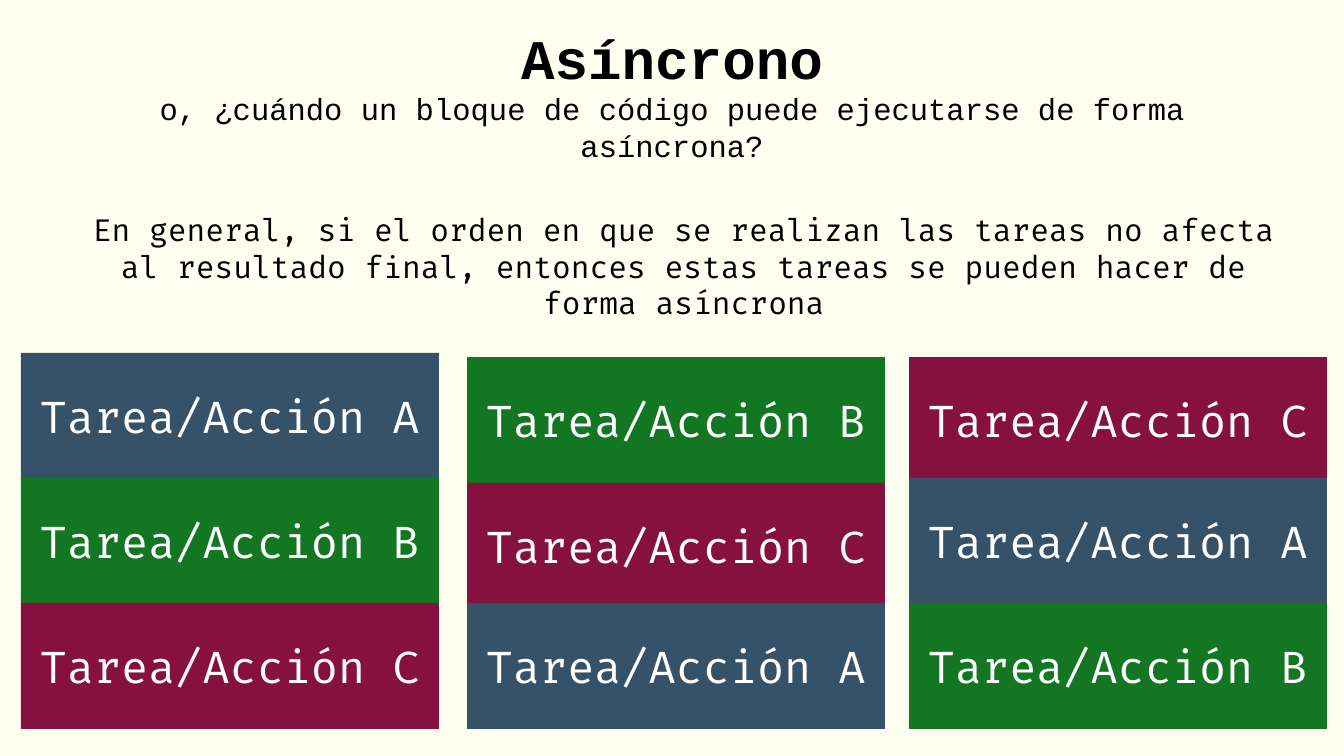
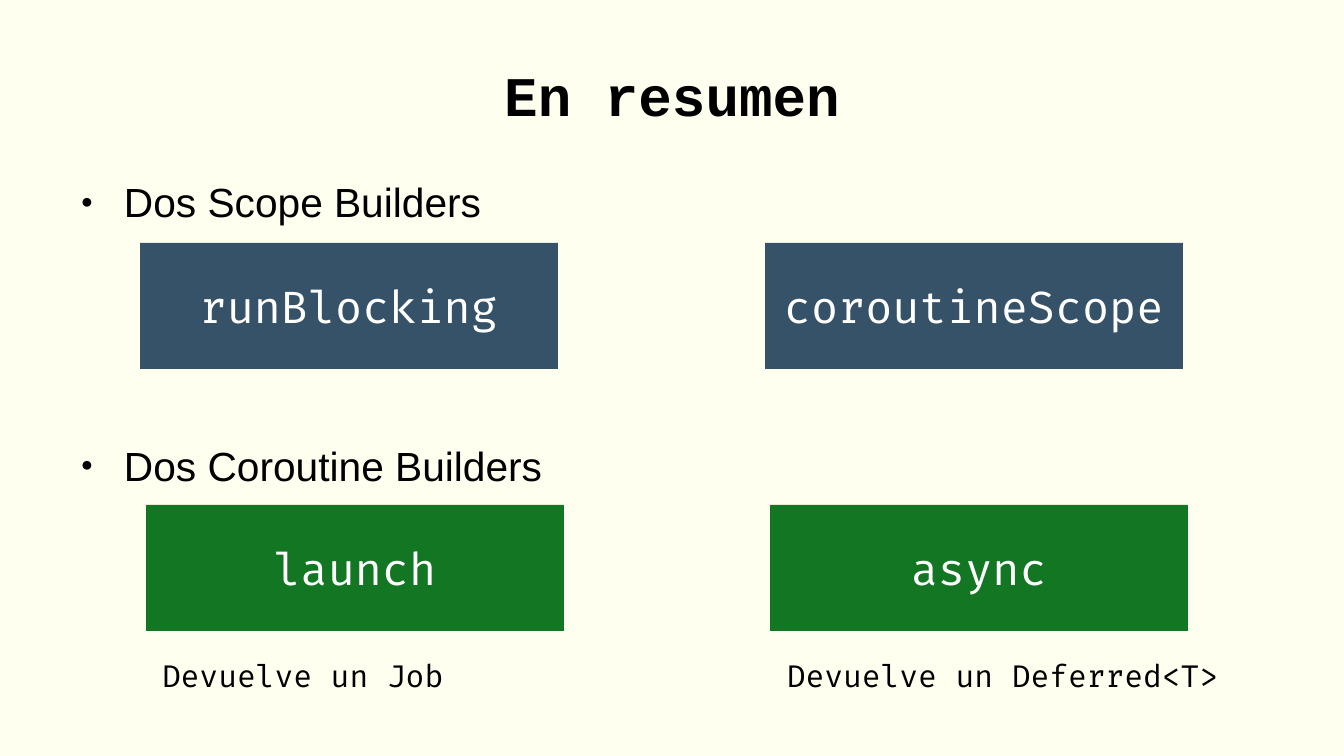
from copy import deepcopy
from dataclasses import dataclass

from lxml.etree import SubElement
from pptx import Presentation
from pptx.dml.color import RGBColor as Rgb
from pptx.enum.shapes import MSO_SHAPE as Shape
from pptx.enum.text import MSO_ANCHOR as Anchor
from pptx.enum.text import MSO_AUTO_SIZE as Fit
from pptx.enum.text import PP_ALIGN as Align
from pptx.oxml.ns import qn
from pptx.slide import Slide
from pptx.text.text import TextFrame
from pptx.util import Emu, Pt

HUES = {
    "paper": "FFFFF0",
    "ink": "000000",
    "white": "FFFFFF",
    "blue": "355269",
    "green": "127622",
    "wine": "861141",
}
SCALE = 7495
CODE = "Fira Code"
CARD_W, CARD_H = 418, 126


@dataclass(frozen=True)
class Box:
    x: int
    y: int
    w: int
    h: int

    def emu(self) -> tuple[Emu, ...]:
        return tuple(px(n) for n in (self.x, self.y, self.w, self.h))


@dataclass(frozen=True)
class Card:
    text: str
    hue: str
    x: int
    y: int


@dataclass(frozen=True)
class Note:
    text: str
    box: Box
    align: Align = Align.LEFT
    wrap: bool = False


@dataclass(frozen=True)
class Point:
    text: str
    before: float


TASKS = {"A": "blue", "B": "green", "C": "wine"}
STACKS = [
    ("ABC", 21, (353, 478, 603)),
    ("BCA", 467, (357, 483, 603)),
    ("CAB", 909, (357, 478, 603)),
]
CLAIM = Note(
    "En general, si el orden en que se realizan las tareas no afecta al resultado "
    "final, entonces estas tareas se pueden hacer de forma asíncrona",
    Box(73, 205, 1222, 124),
    Align.CENTER,
    True,
)
POINTS = [Point("Dos Scope Builders", 10.6), Point("Dos Coroutine Builders", 126.7)]
BUILDERS = [
    Card("runBlocking", "blue", 140, 243),
    Card("coroutineScope", "blue", 765, 243),
    Card("launch", "green", 146, 505),
    Card("async", "green", 770, 505),
]
RESULTS = [
    Note("Devuelve un Job", Box(150, 651, 306, 50)),
    Note("Devuelve un Deferred<T>", Box(775, 651, 456, 50)),
]


def px(n: int) -> Emu:
    return Emu(n * SCALE)


def color(name: str) -> Rgb:
    return Rgb.from_string(HUES[name])


def style(frame: TextFrame, face: str, size: int, hue: str, align: Align) -> None:
    for para in frame.paragraphs:
        para.alignment = align
        for run in para.runs:
            run.font.name = face
            run.font.size = Pt(size)
            run.font.color.rgb = color(hue)


def trim(frame: TextFrame) -> None:
    frame.margin_left = frame.margin_right = 0
    frame.margin_top = frame.margin_bottom = 0


def add_slide(deck: Presentation, title: str, box: Box, sub: str = "") -> Slide:
    slide = deck.slides.add_slide(deck.slide_layouts[5])
    head = slide.shapes.title
    head.left, head.top, head.width, head.height = box.emu()
    frame = head.text_frame
    frame.text = f"{title}\v{sub}" if sub else title
    frame.auto_size = Fit.NONE
    frame.vertical_anchor = Anchor.MIDDLE
    trim(frame)
    style(frame, "Courier New", 33, "ink", Align.CENTER)
    para = frame.paragraphs[0]
    first, *rest = para.runs
    first.font.bold = True
    for gap in para._p.findall(qn("a:br")):
        gap.insert(0, deepcopy(first._r.rPr))
    for run in rest:
        run.font.size = Pt(18)
        run.font.bold = False
    return slide


def add_card(slide: Slide, card: Card) -> None:
    box = Box(card.x, card.y, CARD_W, CARD_H)
    rect = slide.shapes.add_shape(Shape.RECTANGLE, *box.emu())
    rect.shadow.inherit = False
    rect.fill.solid()
    rect.fill.fore_color.rgb = color(card.hue)
    rect.line.fill.background()
    frame = rect.text_frame
    frame.text = card.text
    frame.word_wrap = True
    frame.vertical_anchor = Anchor.MIDDLE
    style(frame, CODE, 26, "white", Align.CENTER)


def add_note(slide: Slide, note: Note) -> None:
    frame = slide.shapes.add_textbox(*note.box.emu()).text_frame
    frame.text = note.text
    frame.word_wrap = note.wrap
    style(frame, CODE, 18, "ink", note.align)


def add_list(slide: Slide, points: list[Point], box: Box) -> None:
    frame = slide.shapes.add_textbox(*box.emu()).text_frame
    frame.text = "\n".join(point.text for point in points)
    frame.word_wrap = True
    trim(frame)
    style(frame, "Arial", 24, "ink", Align.LEFT)
    for para, point in zip(frame.paragraphs, points):
        para.space_before = Pt(point.before)
        props = para._p.get_or_add_pPr()
        props.set("marL", str(px(57)))
        props.set("indent", str(px(-43)))
        tint = SubElement(props, qn("a:buClr"))
        SubElement(tint, qn("a:srgbClr"), val=HUES["ink"])
        SubElement(props, qn("a:buSzPct"), val="50000")
        SubElement(props, qn("a:buFont"), typeface="Arial")
        SubElement(props, qn("a:buChar"), char="●")


def add_async(deck: Presentation) -> None:
    slide = add_slide(
        deck,
        "Asíncrono",
        Box(67, 26, 1210, 135),
        "o, ¿cuándo un bloque de código puede ejecutarse de forma asíncrona?",
    )
    add_note(slide, CLAIM)
    for order, x, tops in STACKS:
        for task, y in zip(order, tops):
            add_card(slide, Card(f"Tarea/Acción {task}", TASKS[task], x, y))


def add_recap(deck: Presentation) -> None:
    slide = add_slide(deck, "En resumen", Box(67, 31, 1210, 127))
    add_list(slide, POINTS, Box(67, 177, 1210, 439))
    for card in BUILDERS:
        add_card(slide, card)
    for note in RESULTS:
        add_note(slide, note)


def main() -> None:
    deck = Presentation()
    deck.slide_width, deck.slide_height = px(1344), px(756)
    fill = deck.slide_master.background.fill
    fill.solid()
    fill.fore_color.rgb = color("paper")
    add_async(deck)
    add_recap(deck)
    deck.save("out.pptx")


if __name__ == "__main__":
    main()
